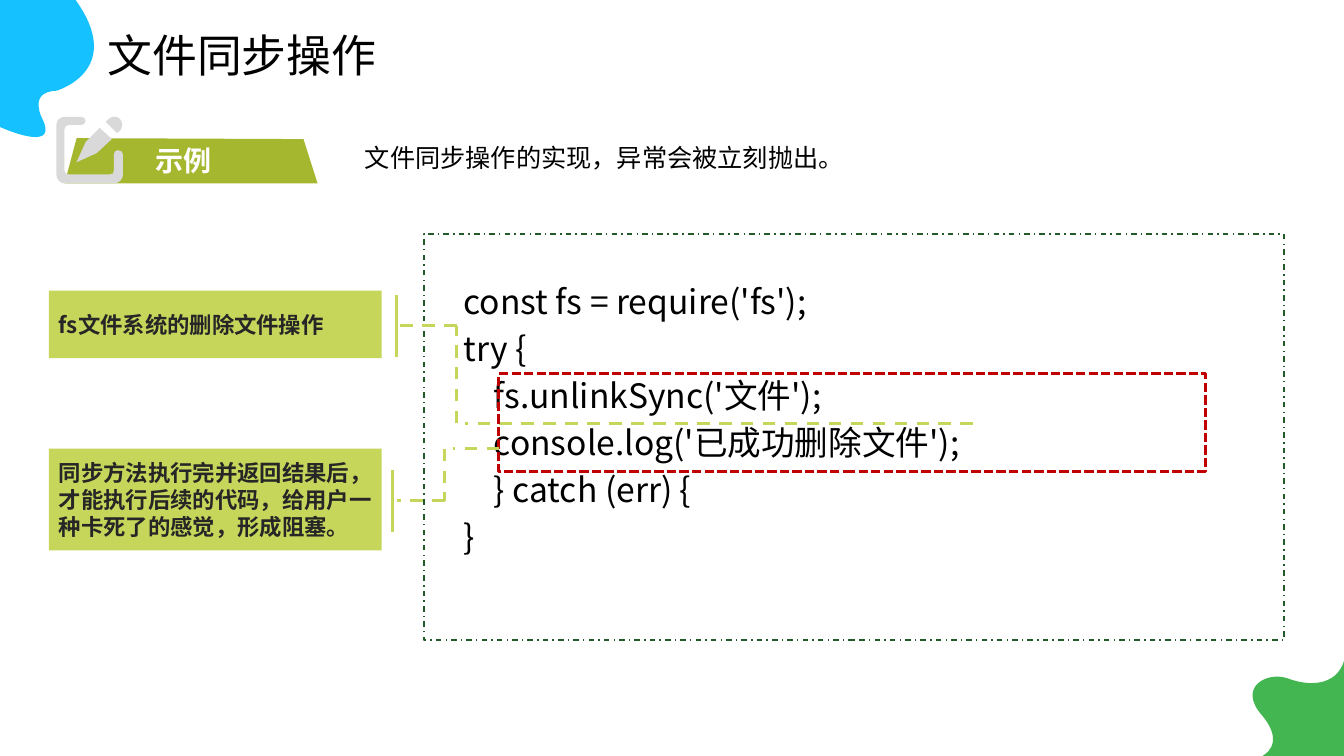
from lxml.etree import SubElement
from pptx import Presentation
from pptx.dml.color import RGBColor
from pptx.enum.dml import MSO_LINE
from pptx.enum.shapes import MSO_CONNECTOR, MSO_SHAPE
from pptx.enum.text import MSO_ANCHOR, PP_ALIGN
from pptx.oxml.ns import qn
from pptx.util import Inches, Pt

COLUMNS, ROWS = 1333, 750
FONT = "Noto Sans CJK SC"
LIME, BLACK, CHARCOAL = "C6D65B", "000000", "262626"

TITLE = ("文件同步操作", (96.5, 22, 287, 64))
SUMMARY = ("文件同步操作的实现，异常会被立刻抛出。", (352, 136, 775, 40))
BADGE = ("示例", (144, 137, 76, 44))
CODE = (
    [
        "const fs = require('fs');",
        "try {",
        "    fs.unlinkSync('文件');",
        "    console.log('已成功删除文件');",
        "    } catch (err) {",
        "}",
    ],
    (450, 274, 855, 293),
)
CODE_FRAME = ((420.5, 232, 853, 403), "225B29", 1, MSO_LINE.DASH_DOT)
BLOCKING_FRAME = ((494.5, 371, 701, 97), "C00000", 2.25, MSO_LINE.SQUARE_DOT)

CALLOUTS = [
    {
        "text": "fs文件系统的删除文件操作",
        "box": (48.6, 288.4, 330, 67),
        "target": (965, 420), "turn": 453, "join": 394, "bar": 393.5,
    },
    {
        "text": "同步方法执行完并返回结果后，才能执行后续的代码，给用户一种卡死了的感觉，形成阻塞。",
        "box": (48.6, 445, 330, 101),
        "target": (495, 445), "turn": 441, "join": 394, "bar": 389.5,
    },
]
TURN_GAP, BAR_HEIGHT, DROP = 8, 61, 1.4

SKY_BLOB = ("15C2FF", [[
    (0, 126), (0, 126, 57, 152, 43, 120), (43, 120, 26, 91, 56, 90),
    (56, 90, 125, 70, 75, 0), (0, 0, 0, 0, 0, 0), (0, 126),
]])
GREEN_BLOB = ("43B651", [[
    (1252, 750), (1252, 750, 1276, 739, 1252, 710),
    (1227, 682, 1256, 666, 1277, 673), (1298, 681, 1325, 681, 1333, 656),
    (1333, 750, 1333, 750, 1333, 750), (1252, 750),
]])
BANNER = ("A5B72E", [[(76, 137), (301, 138), (315, 182), (64, 182), (76, 137)]])
PENCIL = ("D9D9D9", [
    [(119, 130), (116, 132), (105, 121), (108, 118),
     (111, 115, 116, 115, 119, 118), (122, 121, 122, 126, 119, 130)],
    [(111, 138), (96, 152), (76, 161), (85, 141), (99, 127), (111, 138)],
    [(81, 124), (68, 124), (66, 124, 64, 126, 64, 128), (64, 169),
     (64, 172, 66, 173, 68, 173), (109, 173), (112, 173, 113, 172, 113, 169),
     (113, 153), (113, 151, 115, 149, 117, 149),
     (120, 149, 122, 151, 122, 153), (122, 173),
     (122, 178, 118, 182, 113, 182), (64, 182),
     (60, 182, 56, 178, 56, 173), (56, 124),
     (56, 119, 60, 116, 64, 116), (81, 116),
     (83, 116, 85, 118, 85, 120), (85, 122, 83, 124, 81, 124)],
])

deck = Presentation()
deck.slide_width, deck.slide_height = Inches(13.33), Inches(7.5)
cell_width, cell_height = deck.slide_width / COLUMNS, deck.slide_height / ROWS
slide = deck.slides.add_slide(deck.slide_layouts[5])
shapes = slide.shapes


def color(value):
    return RGBColor.from_string(value)


def place(column, row):
    return round(column * cell_width), round(row * cell_height)


def area(box):
    return (*place(*box[:2]), *place(*box[2:]))


def apply(target, values):
    for name, value in values.items():
        setattr(target, name, value)


def write(shape, lines, size, ink, bold=False, wrap=True, anchor=MSO_ANCHOR.TOP, gap=0):
    frame = shape.text_frame
    margins = {"margin_left": Inches(0.1), "margin_right": Inches(0.1),
               "margin_top": Inches(0.05), "margin_bottom": Inches(0.05)}
    apply(frame, {"word_wrap": wrap, "vertical_anchor": anchor, **margins})
    for index, line in enumerate(lines):
        paragraph = frame.add_paragraph() if index else frame.paragraphs[0]
        apply(paragraph, {"alignment": PP_ALIGN.LEFT, "line_spacing": 1.0,
                          "space_before": Pt(gap if index else 0)})
        run = paragraph.add_run()
        run.text = line
        apply(run.font, {"name": FONT, "size": Pt(size), "bold": bold})
        run.font.color.rgb = color(ink)
        SubElement(run.font._element, qn("a:ea")).set("typeface", FONT)


def label(part, size, ink, **options):
    text, box = part
    lines = [text] if isinstance(text, str) else text
    write(shapes.add_textbox(*area(box)), lines, size, ink, **options)


def paint(shape, fill):
    shape.shadow.inherit = False
    shape.fill.solid()
    shape.fill.fore_color.rgb = color(fill)
    shape.line.fill.background()


def outline(box, ink, width, dash):
    frame = shapes.add_shape(MSO_SHAPE.RECTANGLE, *area(box))
    frame.shadow.inherit = False
    frame.fill.background()
    frame.line.color.rgb = color(ink)
    apply(frame.line, {"width": Pt(width), "dash_style": dash})


def draw(part):
    fill, contours = part
    builder = shapes.build_freeform(*place(*contours[0][0]), scale=1.0)
    for index, (start, *segments) in enumerate(contours):
        if index:
            builder.move_to(*place(*start))
        points = [place(*segment[i:i + 2]) for segment in segments for i in range(0, len(segment), 2)]
        builder.add_line_segments(points, close=True)
    shape = builder.convert_to_shape()
    steps = iter(list(shape._element.iter(qn("a:lnTo"))))
    for segment in (segment for contour in contours for segment in contour[1:]):
        step = next(steps)
        if len(segment) == 6:
            step.tag = qn("a:cubicBezTo")
            for control in (next(steps), next(steps)):
                step.append(control[0])
                control.getparent().remove(control)
    paint(shape, fill)


def connect(start, end, dash):
    line = shapes.add_connector(MSO_CONNECTOR.STRAIGHT, *place(*start), *place(*end))
    line.line.color.rgb = color(LIME)
    apply(line.line, {"width": Pt(2.25), "dash_style": dash})
    SubElement(line._element.spPr, qn("a:effectLst"))


def callout(text, box, target, turn, join, bar):
    note = shapes.add_shape(MSO_SHAPE.RECTANGLE, *area(box))
    paint(note, LIME)
    write(note, [text], 16, CHARCOAL, bold=True, anchor=MSO_ANCHOR.MIDDLE)
    middle = box[1] + box[3] / 2 + DROP
    connect(target, (turn + TURN_GAP, target[1]), MSO_LINE.DASH)
    connect((turn, target[1]), (turn, middle), MSO_LINE.DASH)
    connect((turn, middle), (join, middle), MSO_LINE.DASH)
    connect((bar, middle - BAR_HEIGHT / 2), (bar, middle + BAR_HEIGHT / 2), MSO_LINE.SOLID)


heading = shapes.title
apply(heading, dict(zip(("left", "top", "width", "height"), area(TITLE[1]))))
write(heading, [TITLE[0]], 32, BLACK, wrap=False)
draw(SKY_BLOB)
draw(GREEN_BLOB)
label(CODE, 24, BLACK, gap=4.8)
outline(*CODE_FRAME)
callout(**CALLOUTS[0])
outline(*BLOCKING_FRAME)
callout(**CALLOUTS[1])
label(SUMMARY, 18, BLACK)
draw(BANNER)
label(BADGE, 20, "FFFFFF", bold=True, wrap=False)
draw(PENCIL)

deck.save("out.pptx")
